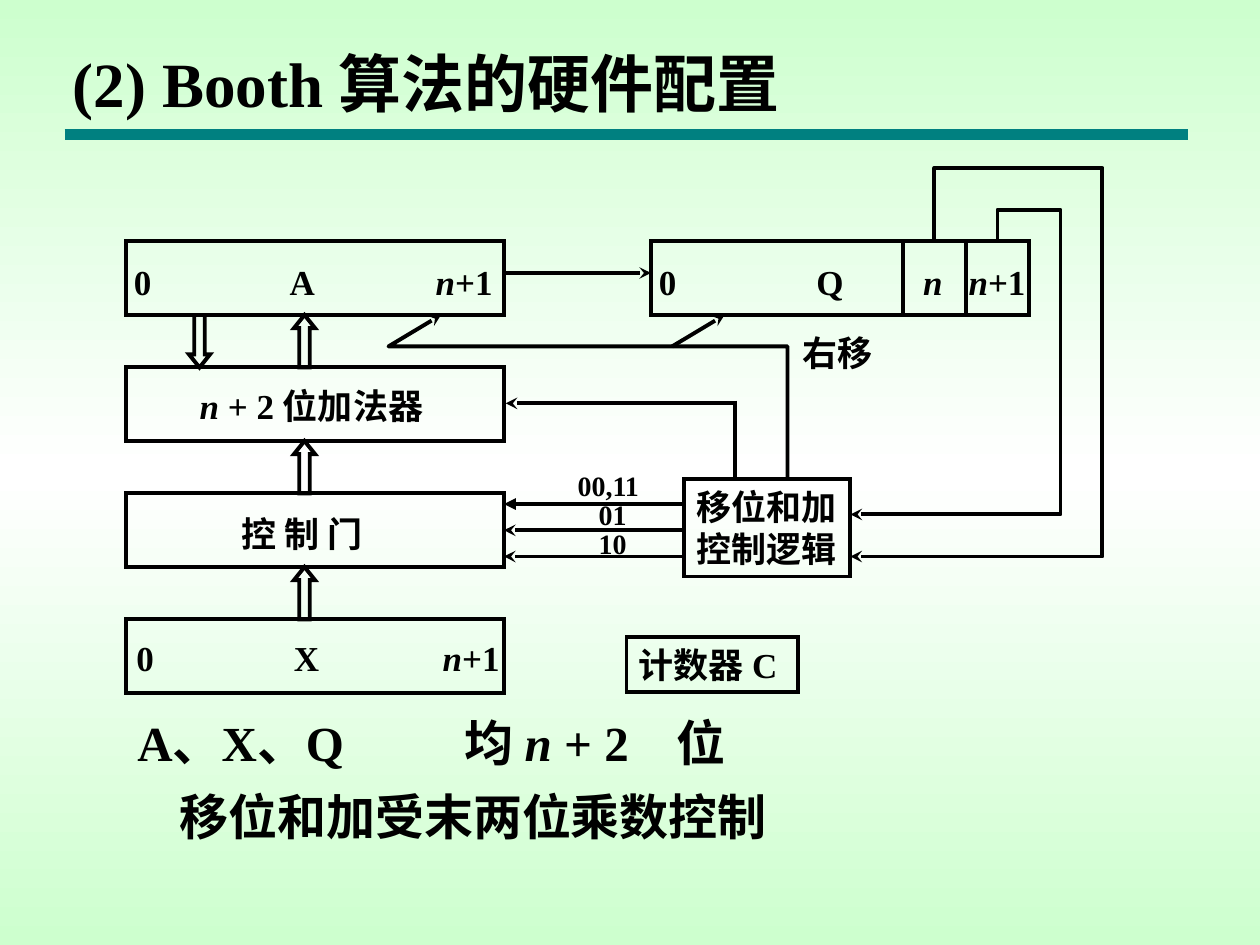
from copy import deepcopy
from lxml import etree
from pptx import Presentation
from pptx.dml.color import RGBColor
from pptx.enum.shapes import MSO_CONNECTOR as CONN, MSO_SHAPE as SHAPE
from pptx.enum.text import MSO_ANCHOR as ANCHOR, PP_ALIGN as ALIGN
from pptx.oxml.ns import qn
from pptx.util import Pt

rgb = RGBColor.from_string


def write(sp, text, size=20, left=7.2, right=7.2, wrap=False, tabs=()):
    """Fill a shape with bold text; *stars* enclose italics."""
    tf = sp.text_frame
    tf.word_wrap = wrap
    tf.vertical_anchor = ANCHOR.TOP
    tf.margin_left, tf.margin_right = Pt(left), Pt(right)
    tf.margin_top = tf.margin_bottom = Pt(3.6)
    for i, line in enumerate(text.split("\n")):
        p = tf.add_paragraph() if i else tf.paragraphs[0]
        p.alignment = ALIGN.LEFT
        if tabs:
            tab_list = etree.SubElement(p._p.get_or_add_pPr(), qn("a:tabLst"))
            for pos in tabs:
                etree.SubElement(tab_list, qn("a:tab"), pos=str(Pt(pos)), algn="l")
        for j, part in enumerate(line.split("*")):
            if part:
                r = p.add_run()
                r.text = part
                r.font.name, r.font.size = "Times New Roman", Pt(size)
                r.font.bold, r.font.italic = True, j % 2 == 1
                r.font.color.rgb = rgb("000000")


def outline(sp, color="000000", width=2.25, arrow=None):
    """Give a shape or line a plain stroke, with no fill and no shadow."""
    if hasattr(sp, "fill"):
        sp.fill.background()
    sp.line.color.rgb = rgb(color)
    sp.line.width = Pt(width)
    ln = sp.line._get_or_add_ln()
    if arrow:
        etree.SubElement(ln, qn("a:tailEnd"), type=arrow)
    else:
        etree.SubElement(ln, qn("a:miter"), lim="800000")
    etree.SubElement(sp._element.spPr, qn("a:effectLst"))


prs = Presentation()
prs.slide_width, prs.slide_height = Pt(720), Pt(540)
s = prs.slides.add_slide(prs.slide_layouts[5])

# Background
fill = s.background.fill
fill.gradient()
fill.gradient_angle = 270
stop_list = s._element.find(".//" + qn("a:gsLst"))
stop_list.append(deepcopy(stop_list[0]))
for stop, color, pos in zip(fill.gradient_stops, ("CDFFCE", "FFFFFF", "CDFFCE"), (0, 0.5, 1)):
    stop.color.rgb = rgb(color)
    stop.position = pos

# Title and rule
title = s.shapes.title
title.left, title.top, title.width, title.height = Pt(34.5), Pt(22), Pt(511), Pt(50.5)
write(title, "(2) Booth 算法的硬件配置", size=36, wrap=True)
rule = s.shapes.add_connector(CONN.STRAIGHT, Pt(37), Pt(77), Pt(679), Pt(77))
outline(rule, color="008080", width=6)

# Registers, adder and gate: four rows on the left, Q on the right
ROW_TOP, ROW_STEP, ROW_H, REG_W = 138, 72, 42, 216
LEFT_X, Q_X = 72, 372
rows = [(LEFT_X, ROW_TOP + ROW_STEP * i) for i in range(4)]
for x, y in rows + [(Q_X, ROW_TOP)]:
    sp = s.shapes.add_shape(SHAPE.RECTANGLE, Pt(x), Pt(y), Pt(REG_W), Pt(ROW_H))
    outline(sp)

# Boxes that hold their own text
for text, x, y, w, h in [
    ("移位和加\n控制逻辑", 391, 274, 95, 55.5),
    ("计数器 C", 358, 364, 98, 31.5),
]:
    sp = s.shapes.add_shape(SHAPE.RECTANGLE, Pt(x), Pt(y), Pt(w), Pt(h))
    outline(sp)
    write(sp, text)

# Register contents, with the bit positions on tab stops
for text, x, y, tabs in [
    ("0\tA\t*n*+1", 76.5, 145.5, (89, 172.5)),
    ("0\tX\t*n*+1", 78, 360, (90, 175)),
    ("0\tQ\t*n*\t*n*+1", 376.5, 145.5, (90, 151, 177)),
]:
    sp = s.shapes.add_textbox(Pt(x), Pt(y), Pt(REG_W), Pt(31.5))
    write(sp, text, left=0, right=0, wrap=True, tabs=tabs)

# Labels, each box wide enough for a single line
for text, x, y, w, h, size in [
    ("*n* + 2 位加法器", 107, 216, 160, 31.5, 20),
    ("控 制 门", 131, 289.5, 96, 31.5, 20),
    ("右移", 451.5, 186, 78, 31.5, 20),
    ("00,11", 323, 264, 60, 26.5, 16),
    ("01", 335, 281, 48, 26.5, 16),
    ("10", 335, 297.5, 48, 26.5, 16),
    ("移位和加受末两位乘数控制", 95.5, 446, 370, 41, 28),
]:
    sp = s.shapes.add_textbox(Pt(x), Pt(y), Pt(w), Pt(h))
    write(sp, text, size=size, wrap=True)
sp = s.shapes.add_textbox(Pt(71.5), Pt(403.5), Pt(360), Pt(41))
write(sp, "A、X、Q\t均 *n* + 2\t位", size=28, right=0, wrap=True, tabs=(187, 308))

# Block arrows between the rows
for x, row, turn in [(168, 0, 0), (108, 0, 180), (168, 1, 0), (168, 2, 0)]:
    y = ROW_TOP + ROW_H + ROW_STEP * row
    sp = s.shapes.add_shape(SHAPE.UP_ARROW, Pt(x), Pt(y), Pt(12), Pt(ROW_STEP - ROW_H))
    sp.adjustments[0], sp.adjustments[1] = 0.5, 0.625
    sp.rotation = turn
    outline(sp)

# Straight lines: Q dividers, control signals, shift paths, adder control
for x1, y1, x2, y2, arrow in [
    (516, 138, 516, 180, None),
    (552, 138, 552, 180, None),
    (390, 288, 288, 288, "triangle"),
    (390, 303, 288, 303, "stealth"),
    (390, 318, 288, 318, "stealth"),
    (288, 156, 372, 156, "stealth"),
    (384, 198, 414, 180, "stealth"),
    (419, 230.5, 289, 230.5, "stealth"),
    (420, 229, 420, 274, None),
]:
    sp = s.shapes.add_connector(CONN.STRAIGHT, Pt(x1), Pt(y1), Pt(x2), Pt(y2))
    outline(sp, arrow=arrow)

# Bent wires: right shift, and the last two bits of Q to the control logic
for points in [
    [(450, 274), (450, 198), (222, 198), (252, 180)],
    [(570, 138), (570, 120), (606, 120), (606, 294), (486, 294)],
    [(534, 138), (534, 96), (630, 96), (630, 318), (486, 318)],
]:
    start, *rest = [(Pt(x), Pt(y)) for x, y in points]
    wire = s.shapes.build_freeform(*start)
    wire.add_line_segments(rest, close=False)
    outline(wire.convert_to_shape(), arrow="stealth")

prs.save("out.pptx")
